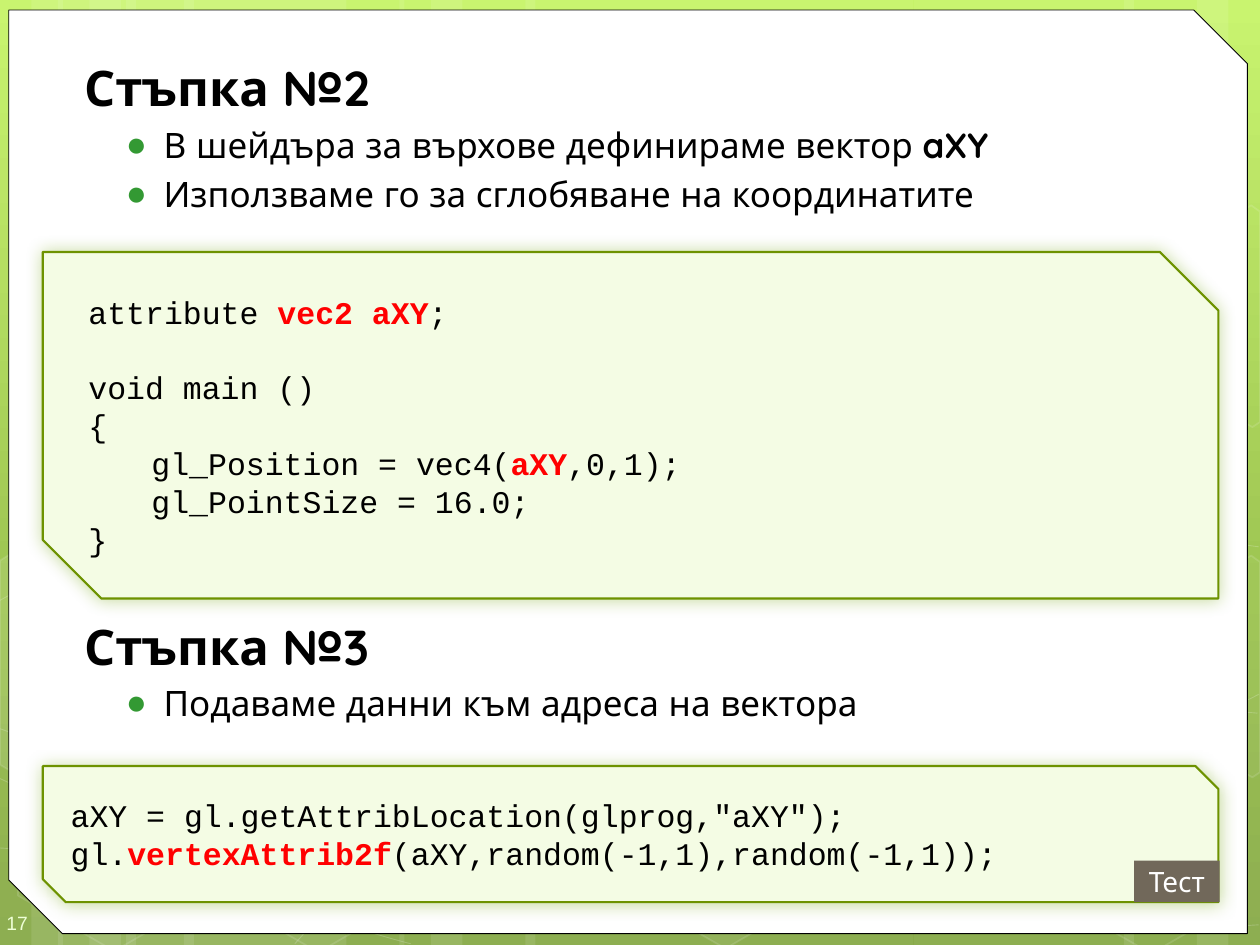
from dataclasses import dataclass
from lxml.etree import SubElement
from pptx import Presentation
from pptx.dml.color import RGBColor
from pptx.enum.lang import MSO_LANGUAGE_ID
from pptx.enum.shapes import MSO_SHAPE
from pptx.enum.text import MSO_ANCHOR, PP_ALIGN
from pptx.oxml.ns import qn
from pptx.util import Pt

PX = 9144  # EMU in one px, 100 px to the inch


@dataclass(frozen=True)
class Theme:
    sky: tuple = ((0, "C3F35F"), (62, "93BF3F"), (100, "81A53E"))
    white: str = "FFFFFF"
    ink: str = "000000"
    red: str = "FF0000"
    dot: str = "339933"
    pale: str = "F4FCE4"
    edge: str = "6D9200"
    glow: str = "74A510"
    tag: str = "71685A"
    page: str = "EEFFD6"
    sans: str = "Quicksand"
    mono: str = "Courier New"
    plain: str = "Arial"
    head: int = 28
    item: int = 20
    code: int = 18
    label: int = 16
    num: int = 11


T = Theme()


def node(parent, name, **attrs):
    return SubElement(parent, qn(name), {k: str(v) for k, v in attrs.items()})


def fade(fill, alpha):
    """Set the opacity, in percent, of each colour below an element."""
    for clr in fill.iter(qn("a:srgbClr")):
        node(clr, "a:alpha", val=alpha * 1000)


def paint(shape, fill=None, line=None, width=1, alpha=100, clear=100):
    shape.shadow.inherit = False
    if fill and alpha:
        shape.fill.solid()
        shape.fill.fore_color.rgb = RGBColor.from_string(fill)
        if alpha < 100:
            fade(shape.element.spPr.find(qn("a:solidFill")), alpha)
    else:
        shape.fill.background()
    if line:
        shape.line.color.rgb = RGBColor.from_string(line)
        shape.line.width = Pt(width)
        if clear < 100:
            fade(shape.element.spPr.find(qn("a:ln")), clear)
    else:
        shape.line.fill.background()
    return shape


def form(slide, kind, box, **look):
    return paint(slide.shapes.add_shape(kind, *(v * PX for v in box)), **look)


def outline(slide, dots, close, **look):
    pen = slide.shapes.build_freeform(*dots[0], scale=PX)
    pen.add_line_segments(dots[1:], close=close)
    return paint(pen.convert_to_shape(), **look)


def curve(slide, dots, **look):
    """Join the points, three at a time, as cubic curves."""
    shape = outline(slide, dots, False, **look)
    track = next(shape.element.iter(qn("a:path")))
    legs = track.findall(qn("a:lnTo"))
    for k in range(0, len(legs), 3):
        bend = node(track, "a:cubicBezTo")
        for leg in legs[k:k + 3]:
            bend.append(leg[0])
            track.remove(leg)


def setup(frame, pad=(10, 5, 10, 5), anchor=MSO_ANCHOR.TOP, wrap=True):
    frame.margin_left, frame.margin_top, frame.margin_right, frame.margin_bottom = (
        v * PX for v in pad)
    frame.vertical_anchor = anchor
    frame.word_wrap = wrap
    return frame


def write(frame, text, size, font, color=T.ink, accent=None, bold=False, lang=None,
          align=PP_ALIGN.LEFT, left=0, hang=0, dot=None, tab=0, before=0):
    """Add one paragraph; the parts between bars are stressed."""
    para = frame.paragraphs[0]
    if para.runs:
        para = frame.add_paragraph()
    props = para._p.get_or_add_pPr()
    props.set("marL", str(left * PX))
    props.set("indent", str(-hang * PX))
    if dot:
        node(node(props, "a:buClr"), "a:srgbClr", val=dot)
        node(props, "a:buFont", typeface=T.plain)
        node(props, "a:buChar", char="●")
    else:
        node(props, "a:buNone")
    if tab:
        node(node(props, "a:tabLst"), "a:tab", pos=tab * PX, algn="l")
    para.alignment = align
    if before:
        para.space_before = Pt(before)
    for i, part in enumerate(text.split("|")):
        if part:
            run = para.add_run()
            run.text = part
            run.font.size, run.font.name = Pt(size), font
            run.font.bold = bold or i % 2 == 1
            if lang:
                run.font.language_id = lang
            tint = accent if accent and i % 2 else color
            run.font.color.rgb = RGBColor.from_string(tint)


def backdrop(slide, wide, high):
    # Gradient from top to bottom
    fill = slide.background.fill
    fill.gradient()
    fill.gradient_angle = 270
    stops = next(slide.element.iter(qn("a:gsLst")))
    for old in list(stops):
        stops.remove(old)
    for pos, color in T.sky:
        node(node(stops, "a:gs", pos=pos * 1000), "a:srgbClr", val=color)
    # Upright bands
    for x, w in ((100, 175), (0, 50), (25, 83), (146, 175), (46, 50), (71, 83),
                 (725, 175), (950, 50), (892, 83), (417, 308), (317, 50), (342, 83)):
        form(slide, MSO_SHAPE.RECTANGLE, (x, 0, w, high), fill=T.white, alpha=10)
    # Thin curves
    for dots in (
        [(-1, 673), (53, 676), (107, 679), (182, 678), (257, 677), (349, 675), (450, 665),
         (550, 655), (692, 636), (783, 617), (875, 598), (969, 568), (999, 551)],
        [(-1, 477), (28, 461), (56, 446), (113, 431), (170, 416), (250, 394), (339, 387),
         (428, 380), (536, 379), (646, 387), (756, 395), (939, 426), (999, 434)],
        [(-2, 617), (118, 672), (239, 727), (326, 749)],
        [(-1, 578), (30, 589), (61, 600), (120, 616), (178, 631), (265, 656), (348, 673),
         (432, 690), (537, 708), (620, 718), (702, 729), (791, 733), (844, 736),
         (897, 740), (911, 738), (937, 738), (962, 737), (981, 735), (999, 734)],
        [(234, 749), (252, 729), (269, 709), (294, 691), (318, 673), (351, 653),
         (379, 639), (407, 625), (424, 619), (461, 609), (498, 599), (565, 585),
         (600, 578), (635, 571), (641, 571), (672, 569), (703, 566), (751, 563),
         (786, 562), (850, 560), (940, 561), (998, 566)],
    ):
        curve(slide, dots, line=T.white, width=0.5, clear=20)
    # Honeycomb: place, fill and line opacity
    for x, y, alpha, clear in (
            (328, 313, 10, 12), (407, 451, 0, 12), (408, 174, 7, 8), (326, 36, 4, 8),
            (488, 589, 6, 12), (3, 591, 0, 12), (6, 312, 7, 8), (85, 451, 0, 12),
            (165, 592, 0, 12), (167, 313, 7, 8), (87, 171, 0, 12), (744, 453, 10, 12),
            (826, 593, 0, 12), (826, 314, 7, 8)):
        cell = form(slide, MSO_SHAPE.HEXAGON, (x, y, 175, 152),
                    fill=T.white, alpha=alpha, line=T.white, clear=clear)
        cell.adjustments[0] = 0.285
        cell.rotation = 30
    # Cells cut by the sides
    side = [(918, 207), (993, 163), (wide, 168), (wide, 335), (994, 339), (917, 295)]
    cut = [(0, 445), (11, 438), (87, 482), (87, 570), (12, 614), (0, 607)]
    for dots, alpha in ((cut, 10), ([(x, y + 278) for x, y in side], 4), (side, 0)):
        outline(slide, dots, True, fill=T.white, alpha=alpha, line=T.white, clear=12)


def sheet(slide, box):
    card = form(slide, MSO_SHAPE.SNIP_2_DIAG_RECTANGLE, box,
                fill=T.white, line=T.ink, width=0.5)
    card.adjustments[0], card.adjustments[1] = 0, 0.058


def number(slide, box, text):
    area = slide.shapes.add_textbox(*(v * PX for v in box))
    frame = setup(area.text_frame, (5, 15, 0, 10), MSO_ANCHOR.MIDDLE)
    write(frame, text, T.num, T.plain, color=T.page)


def step(slide, box, title, items):
    area = slide.shapes.add_textbox(*(v * PX for v in box))
    frame = setup(area.text_frame)
    write(frame, title, T.head, T.sans, bold=True, left=7)
    for item in items:
        write(frame, item, T.item, T.sans, left=70, hang=30, dot=T.dot, before=4)


def listing(slide, box, blocks):
    """A code panel; a gap of one line parts the blocks."""
    panel = form(slide, MSO_SHAPE.SNIP_2_DIAG_RECTANGLE, box,
                 fill=T.pale, line=T.edge, width=1.25)
    panel.adjustments[0], panel.adjustments[1] = 0, 0.169
    glow = node(panel.element.spPr.find(qn("a:effectLst")), "a:outerShdw",
                blurRad=Pt(10), dist=0, dir=45 * 60000, algn="ctr", rotWithShape=0)
    node(glow, "a:srgbClr", val=T.glow)
    fade(glow, 40)
    frame = setup(panel.text_frame, (0, 5, 0, 5), MSO_ANCHOR.MIDDLE, wrap=False)
    for b, block in enumerate(blocks):
        for n, line in enumerate(block):
            gap = 21.5 if b and not n else 0
            write(frame, line, T.code, T.mono, accent=T.red, left=13, tab=50, before=gap)


def badge(slide, box, text):
    plate = form(slide, MSO_SHAPE.RECTANGLE, box, fill=T.tag)
    frame = setup(plate.text_frame, (0, 5, 0, 5), MSO_ANCHOR.MIDDLE)
    write(frame, text, T.label, T.sans, color=T.white, align=PP_ALIGN.CENTER,
          lang=MSO_LANGUAGE_ID.BULGARIAN)


def main():
    deck = Presentation()
    wide, high = 1000, 750
    deck.slide_width, deck.slide_height = wide * PX, high * PX
    slide = deck.slides.add_slide(deck.slide_layouts[6])
    backdrop(slide, wide, high)
    sheet(slide, (7, 8, 983, 733))
    number(slide, (0, 710, 58, 40), "17")
    # Second step
    step(slide, (50, 41, 942, 140), "Стъпка №2",
         ["В шейдъра за върхове дефинираме вектор |aXY|",
          "Използваме го за сглобяване на координатите"])
    listing(slide, (34, 200, 933, 275), [
        ["attribute |vec2 aXY|;"],
        ["void main ()", "{", "\tgl_Position = vec4(|aXY|,0,1);",
         "\tgl_PointSize = 16.0;", "}"]])
    # Third step
    step(slide, (50, 484, 942, 100), "Стъпка №3",
         ["Подаваме данни към адреса на вектора"])
    listing(slide, (34, 608, 933, 108), [
        ['aXY = gl.getAttribLocation(glprog,"aXY");',
         "gl.|vertexAttrib2f|(aXY,random(-1,1),random(-1,1));"]])
    badge(slide, (900, 683, 68, 33), "Тест")
    deck.save("out.pptx")


if __name__ == "__main__":
    main()
